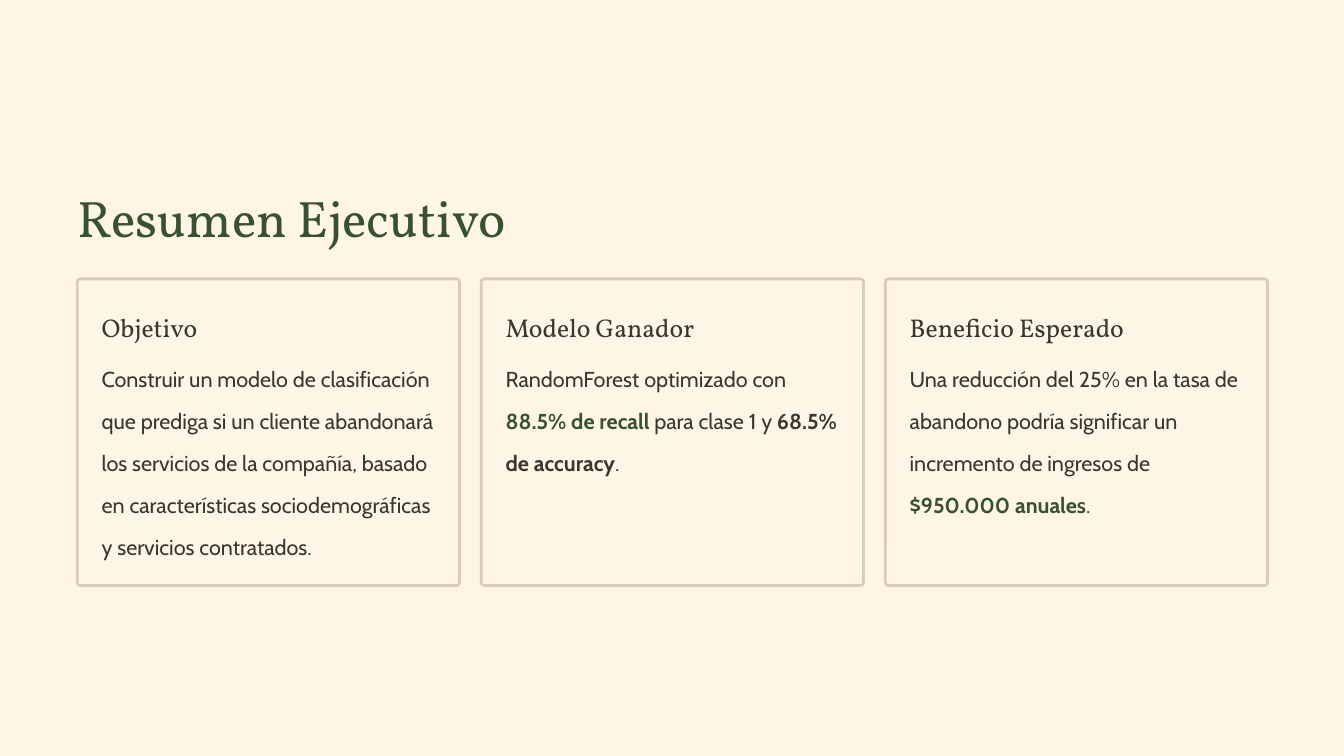
import dataclasses

import pptx
import pptx.dml.color
import pptx.enum.shapes
import pptx.enum.text
import pptx.util


@dataclasses.dataclass(frozen=True)
class Theme:
    cream: str = "FEF5E7"
    border: str = "D9CDBA"
    green: str = "38512F"
    ink: str = "3A3630"
    heading_font: str = "Vollkorn"
    body_font: str = "Cabin"
    title_size: float = 44
    heading_size: float = 22
    body_size: float = 18.5
    heading_spacing: float = 1.25
    body_spacing: float = 1.62
    border_width: float = 2.4


THEME = Theme()

# Slide layout in points
SLIDE_WIDTH, SLIDE_HEIGHT = 1152, 648
MARGIN = 66.24
CARD_TOP, CARD_WIDTH, CARD_HEIGHT = 239.04, 327.6, 262.8
CARD_STEP = 346.32
CARD_INSET = 20.88

# Each card: heading, body height, runs of (text, colour, bold)
CARDS = [
    ("Objetivo", 180.72, [
        ("Construir un modelo de clasificación que prediga si un cliente "
         "abandonará los servicios de la compañía, basado en características "
         "sociodemográficas y servicios contratados.", THEME.ink, False),
    ]),
    ("Modelo Ganador", 90.72, [
        ("RandomForest optimizado con ", THEME.ink, False),
        ("88.5% de recall", THEME.green, True),
        (" para clase 1 y ", THEME.ink, False),
        ("68.5% de accuracy", THEME.ink, True),
        (".", THEME.ink, False),
    ]),
    ("Beneficio Esperado", 120.96, [
        ("Una reducción del 25% en la tasa de abandono podría significar un "
         "incremento de ingresos de ", THEME.ink, False),
        ("$950.000 anuales", THEME.green, True),
        (".", THEME.ink, False),
    ]),
]


def color(value):
    return pptx.dml.color.RGBColor.from_string(value)


def add_run(paragraph, text, *, font, size, fill, bold=False):
    run = paragraph.add_run()
    run.text = text
    run.font.name = font
    run.font.size = pptx.util.Pt(size)
    run.font.bold = bold
    run.font.color.rgb = color(fill)


class SlideBuilder:
    def __init__(self, slide, theme):
        self.slide = slide
        self.theme = theme

    def background(self):
        fill = self.slide.background.fill
        fill.solid()
        fill.fore_color.rgb = color(self.theme.cream)

    def text(self, box, runs, *, font, size, spacing):
        shape = self.slide.shapes.add_textbox(*map(pptx.util.Pt, box))
        frame = shape.text_frame
        frame.word_wrap = True
        frame.vertical_anchor = pptx.enum.text.MSO_ANCHOR.TOP
        frame.margin_left = frame.margin_right = 0
        frame.margin_top = frame.margin_bottom = 0
        paragraph = frame.paragraphs[0]
        paragraph.line_spacing = spacing
        for text, fill, bold in runs:
            add_run(paragraph, text, font=font, size=size, fill=fill, bold=bold)

    def heading(self, box, text, *, size, fill):
        self.text(box, [(text, fill, False)], font=self.theme.heading_font,
                  size=size, spacing=self.theme.heading_spacing)

    def panel(self, box):
        shape = self.slide.shapes.add_shape(
            pptx.enum.shapes.MSO_SHAPE.ROUNDED_RECTANGLE,
            *map(pptx.util.Pt, box))
        shape.adjustments[0] = 0.01
        shape.shadow.inherit = False
        shape.fill.solid()
        shape.fill.fore_color.rgb = color(self.theme.cream)
        shape.line.color.rgb = color(self.theme.border)
        shape.line.width = pptx.util.Pt(self.theme.border_width)

    def card(self, left, heading, body_height, runs):
        self.panel((left, CARD_TOP, CARD_WIDTH, CARD_HEIGHT))
        text_left = left + CARD_INSET
        self.heading((text_left, CARD_TOP + 21.6, 221.76, 27.36), heading,
                     size=self.theme.heading_size, fill=self.theme.ink)
        self.text((text_left, CARD_TOP + 60.48, 285.12, body_height), runs,
                  font=self.theme.body_font, size=self.theme.body_size,
                  spacing=self.theme.body_spacing)


def main():
    presentation = pptx.Presentation()
    presentation.slide_width = pptx.util.Pt(SLIDE_WIDTH)
    presentation.slide_height = pptx.util.Pt(SLIDE_HEIGHT)
    slide = presentation.slides.add_slide(presentation.slide_layouts[6])
    builder = SlideBuilder(slide, THEME)

    # Background and title
    builder.background()
    builder.heading((MARGIN, 146.16, 443.52, 55.44), "Resumen Ejecutivo",
                    size=THEME.title_size, fill=THEME.green)

    # Three summary cards
    for index, (heading, body_height, runs) in enumerate(CARDS):
        builder.card(MARGIN + index * CARD_STEP, heading, body_height, runs)

    presentation.save("out.pptx")


if __name__ == "__main__":
    main()
